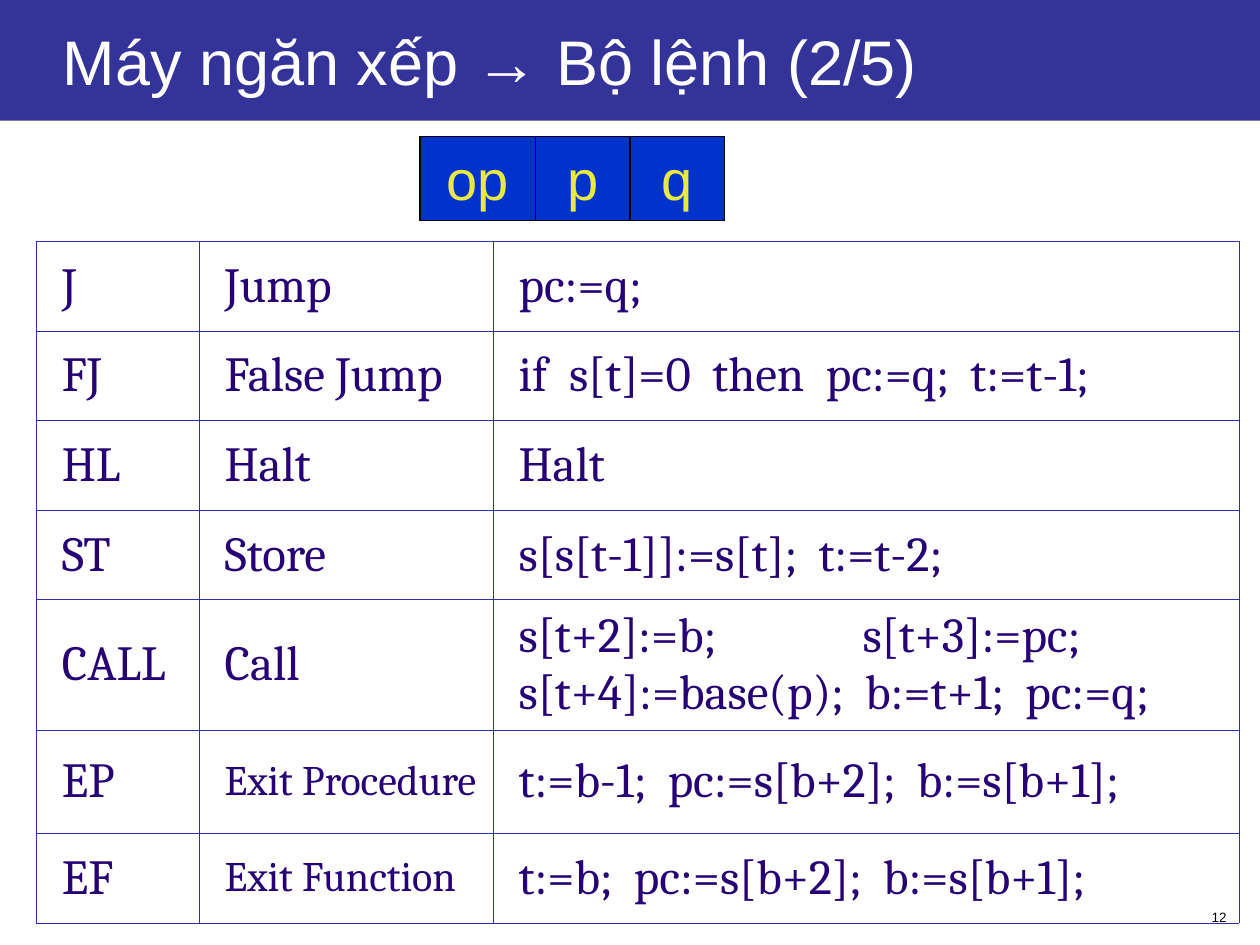
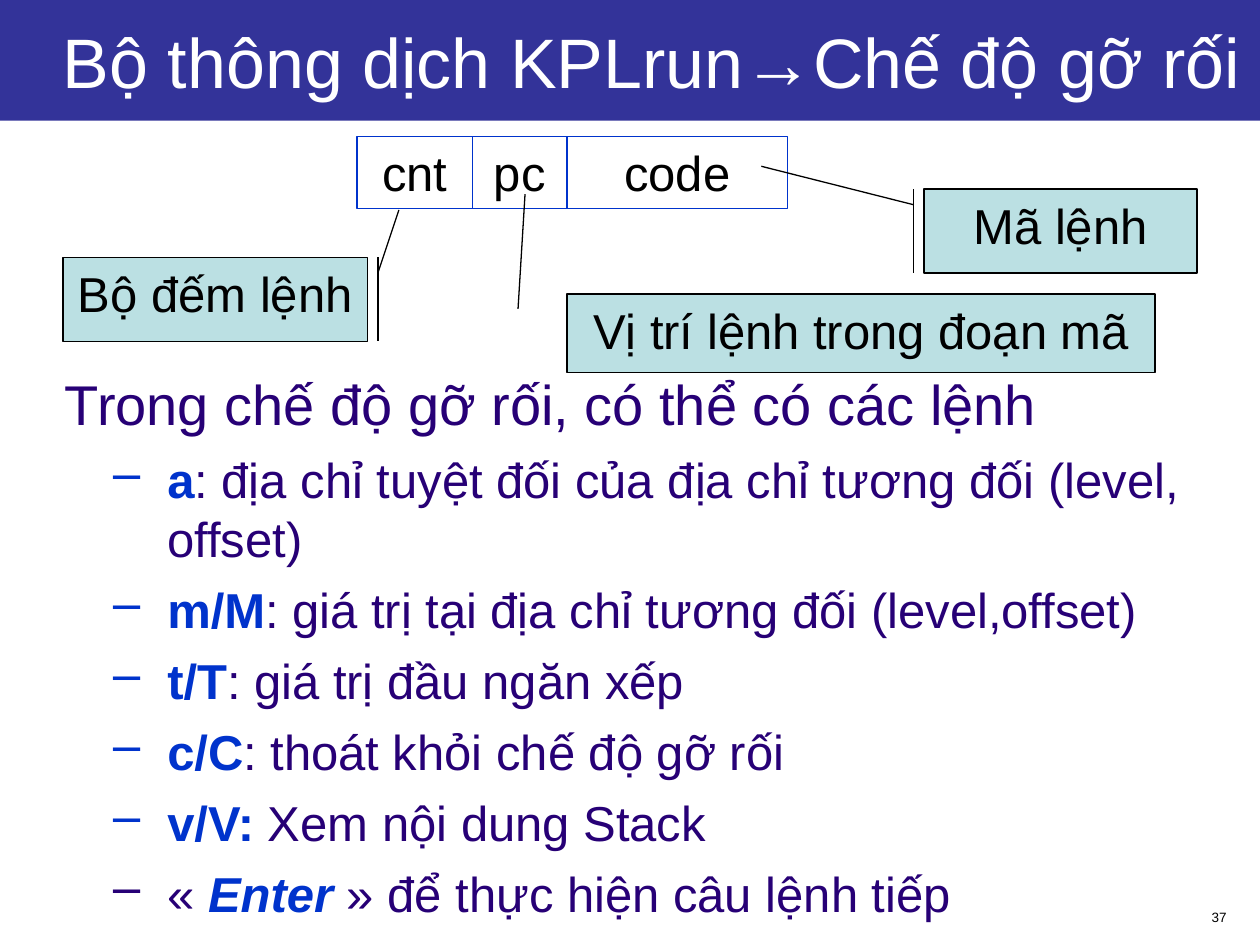
from lxml import etree
from pptx import Presentation
from pptx.dml.color import RGBColor
from pptx.enum.shapes import MSO_SHAPE
from pptx.enum.text import MSO_ANCHOR, PP_ALIGN
from pptx.oxml.ns import qn
from pptx.util import Pt

WHITE = RGBColor(0xFF, 0xFF, 0xFF)
BLACK = RGBColor(0x00, 0x00, 0x00)
BAND = RGBColor(0x33, 0x33, 0x99)
BLUE = RGBColor(0x00, 0x33, 0xCC)
YELLOW = RGBColor(0xE9, 0xE9, 0x43)
INDIGO = RGBColor(0x27, 0x00, 0x76)
GRID = RGBColor(0x2D, 0x2D, 0xB9)
PALE_TEAL = RGBColor(0xBB, 0xE0, 0xE3)

RECTANGLE = MSO_SHAPE.RECTANGLE
CALLOUT = MSO_SHAPE.LINE_CALLOUT_1
BAR_CALLOUT = MSO_SHAPE.LINE_CALLOUT_1_BORDER_AND_ACCENT_BAR
LEFT, CENTER, RIGHT, JUSTIFY = PP_ALIGN.LEFT, PP_ALIGN.CENTER, PP_ALIGN.RIGHT, PP_ALIGN.JUSTIFY
TOP, MIDDLE = MSO_ANCHOR.TOP, MSO_ANCHOR.MIDDLE

INSTRUCTIONS = [
    ("J", "Jump", "pc:=q;"),
    ("FJ", "False Jump", "if  s[t]=0  then  pc:=q;  t:=t-1;"),
    ("HL", "Halt", "Halt"),
    ("ST", "Store", "s[s[t-1]]:=s[t];  t:=t-2;"),
    ("CALL", "Call", "s[t+2]:=b;\ts[t+3]:=pc;  s[t+4]:=base(p);  b:=t+1;  pc:=q;"),
    ("EP", "Exit Procedure", "t:=b-1;  pc:=s[b+2];  b:=s[b+1];"),
    ("EF", "Exit Function", "t:=b;  pc:=s[b+2];  b:=s[b+1];"),
]
INSTRUCTION_COLUMNS = (93, 168, 426)
INSTRUCTION_ROWS = (51.2, 51.2, 51.2, 51.2, 69, 59, 51.2)
CALL_TAB = 196.5

COMMANDS = [
    ("", "a", ": địa chỉ tuyệt đối của địa chỉ tương đối (level, offset)"),
    ("", "m/M", ": giá trị tại địa chỉ tương đối (level,offset)"),
    ("", "t/T", ": giá trị đầu ngăn xếp"),
    ("", "c/C", ": thoát khỏi chế độ gỡ rối"),
    ("", "v/V:", " Xem nội dung Stack"),
    ("« ", "Enter", " » để thực hiện câu lệnh tiếp"),
]


class Deck:
    """Holds the shared style and the current slide, with a method per element."""

    def __init__(self):
        self.presentation = Presentation()
        self.presentation.slide_width = Pt(720)
        self.presentation.slide_height = Pt(540)
        self.slide = None

    def add_slide(self, title, size, number):
        self.slide = self.presentation.slides.add_slide(self.presentation.slide_layouts[6])
        band = self.box(RECTANGLE, (0, 0, 720, 69), title, size, WHITE, BAND,
                        align=LEFT, anchor=MIDDLE)
        band.text_frame.margin_left = Pt(36)
        footer = self.text_box((558, 516, 150, 17))
        footer.paragraphs[0].alignment = RIGHT
        self.run(footer.paragraphs[0], str(number), 7.7, BLACK)

    def run(self, paragraph, text, size, color, font="Arial", bold=False, italic=False):
        run = paragraph.add_run()
        run.text = text
        run.font.name = font
        run.font.size = Pt(size)
        run.font.color.rgb = color
        run.font.bold = bold
        run.font.italic = italic

    def text_box(self, place):
        frame = self.slide.shapes.add_textbox(*map(Pt, place)).text_frame
        frame.word_wrap = True
        return frame

    def box(self, kind, place, text, size, color, fill=None, line=None,
            align=CENTER, anchor=TOP, wrap=True):
        shape = self.slide.shapes.add_shape(kind, *map(Pt, place))
        shape.shadow.inherit = False
        if fill is None:
            shape.fill.background()
        else:
            shape.fill.solid()
            shape.fill.fore_color.rgb = fill
        if line is None:
            shape.line.fill.background()
        else:
            shape.line.color.rgb = line
            shape.line.width = Pt(0.75)
        frame = shape.text_frame
        frame.word_wrap = wrap
        frame.vertical_anchor = anchor
        frame.paragraphs[0].alignment = align
        self.run(frame.paragraphs[0], text, size, color)
        return shape

    def fields(self, left, height, labels, **style):
        for label, width in labels:
            self.box(RECTANGLE, (left, 78, width, height), label, **style)
            left += width

    def callout(self, kind, place, text, start, end):
        shape = self.box(kind, place, text, 28, BLACK, PALE_TEAL, BLACK)
        left, top, width, height = place
        for index, (x, y) in enumerate((start, end)):
            shape.adjustments[2 * index] = (y - top) / height
            shape.adjustments[2 * index + 1] = (x - left) / width

    def table(self, left, top, columns, heights, rows):
        table = self.slide.shapes.add_table(
            len(rows), len(columns), Pt(left), Pt(top),
            Pt(sum(columns)), Pt(sum(heights))).table
        table.first_row = table.horz_banding = False
        for column, width in zip(table.columns, columns):
            column.width = Pt(width)
        for row, height, texts in zip(table.rows, heights, rows):
            row.height = Pt(height)
            for cell, text in zip(row.cells, texts):
                self.cell(cell, text)

    def cell(self, cell, text):
        cell.vertical_anchor = MIDDLE
        cell.margin_left = Pt(14.4)
        paragraph = cell.text_frame.paragraphs[0]
        paragraph.alignment = JUSTIFY
        if "\t" in text:
            tabs = etree.SubElement(paragraph._p.get_or_add_pPr(), qn("a:tabLst"))
            etree.SubElement(tabs, qn("a:tab"), pos=str(Pt(CALL_TAB)), algn="l")
        size = 24 if text.startswith("Exit") else 28
        self.run(paragraph, text, size, INDIGO, "Cambria")
        properties = cell._tc.get_or_add_tcPr()
        for side in ("lnL", "lnR", "lnT", "lnB"):
            border = etree.SubElement(properties, qn("a:" + side), w=str(Pt(0.45)))
            paint = etree.SubElement(border, qn("a:solidFill"))
            etree.SubElement(paint, qn("a:srgbClr"), val=str(GRID))
        cell.fill.background()

    def command(self, frame, opening, key, meaning):
        paragraph = frame.add_paragraph()
        paragraph.space_before = Pt(7)
        properties = paragraph._p.get_or_add_pPr()
        properties.set("marL", str(Pt(58.5)))
        properties.set("indent", str(Pt(-31)))
        bullet_color = etree.SubElement(properties, qn("a:buClr"))
        etree.SubElement(bullet_color, qn("a:srgbClr"), val=str(INDIGO if opening else BLUE))
        etree.SubElement(properties, qn("a:buChar"), char="–")
        if opening:
            self.run(paragraph, opening, 28, INDIGO)
        self.run(paragraph, key, 28, BLUE, bold=True, italic=bool(opening))
        self.run(paragraph, meaning, 28, INDIGO)


def instruction_set(deck):
    deck.add_slide("Máy ngăn xếp → Bộ lệnh (2/5)", 36, 12)
    deck.fields(240, 48, [("op", 66), ("p", 54), ("q", 54)], size=32, color=YELLOW,
                fill=BLUE, line=BLACK, anchor=MIDDLE, wrap=False)
    deck.table(21, 138, INSTRUCTION_COLUMNS, INSTRUCTION_ROWS, INSTRUCTIONS)


def debug_mode(deck):
    deck.add_slide("Bộ thông dịch KPLrun→Chế độ gỡ rối", 40, 37)
    commands = deck.text_box((30, 204, 675, 324))
    heading = commands.paragraphs[0]
    heading.line_spacing = 1.1
    deck.run(heading, "Trong chế độ gỡ rối, có thể có các lệnh", 32, INDIGO)
    for command in COMMANDS:
        deck.command(commands, *command)
    deck.fields(204, 41, [("cnt", 66), ("pc", 54), ("code", 126)],
                size=28, color=BLACK, line=BLUE)
    deck.callout(BAR_CALLOUT, (528, 108, 156, 48), "Mã lệnh", (522, 117), (435, 95))
    deck.callout(CALLOUT, (324, 168, 336, 45), "Vị trí lệnh trong đoạn mã",
                 (296, 176.5), (300, 111))
    deck.callout(BAR_CALLOUT, (36, 147, 174, 48), "Bộ đếm lệnh", (216, 156), (228, 120))


def main():
    deck = Deck()
    instruction_set(deck)
    debug_mode(deck)
    deck.presentation.save("out.pptx")


if __name__ == "__main__":
    main()
